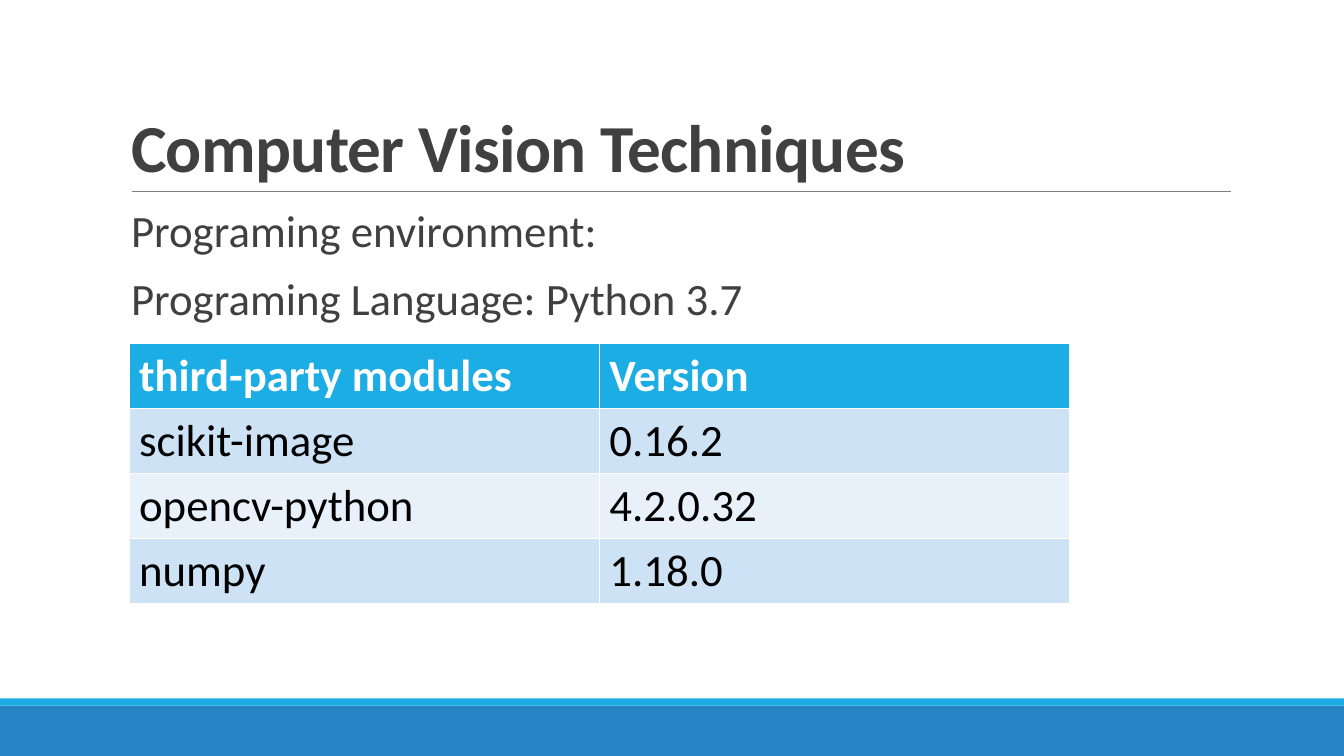
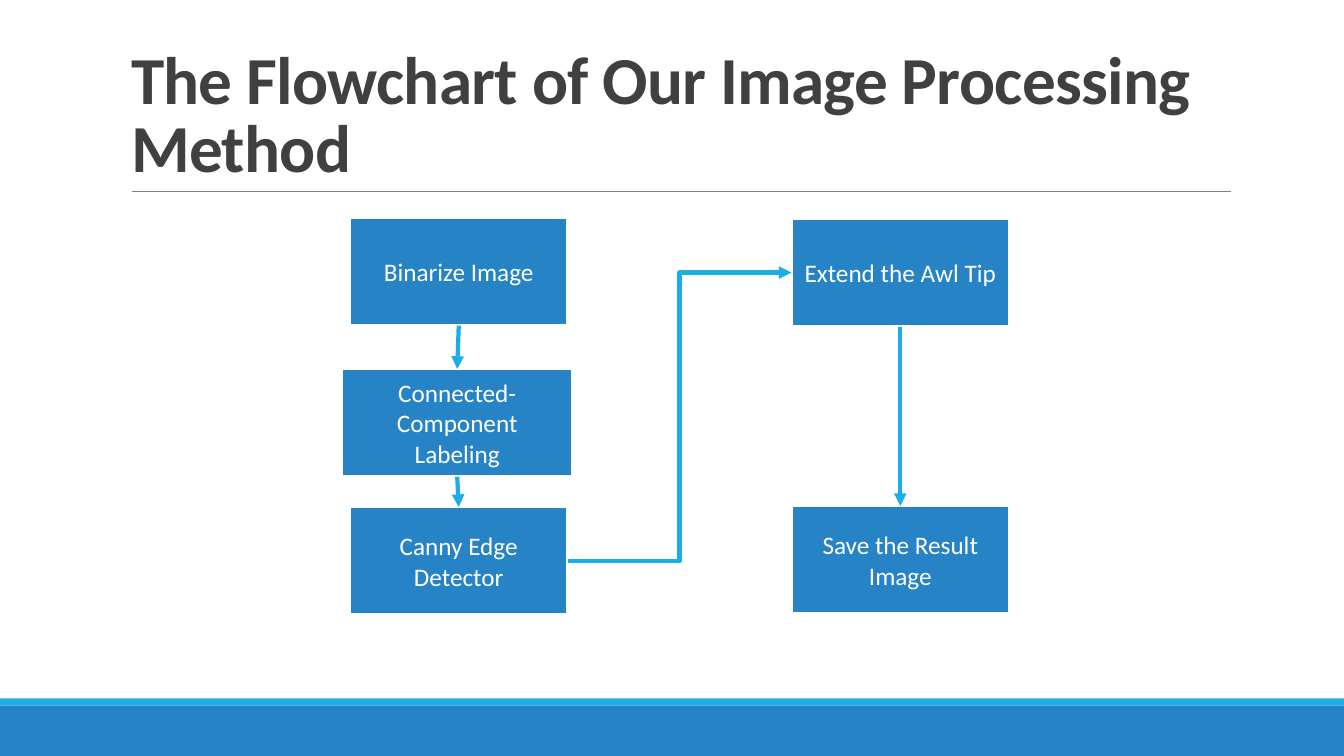
from lxml.etree import SubElement
from pptx import Presentation
from pptx.dml.color import RGBColor
from pptx.enum.shapes import MSO_CONNECTOR, MSO_SHAPE
from pptx.enum.text import MSO_ANCHOR, MSO_AUTO_SIZE, PP_ALIGN
from pptx.oxml.ns import qn
from pptx.util import Inches, Pt

BLUE = RGBColor(0x26, 0x83, 0xC6)
CYAN = RGBColor(0x1C, 0xAD, 0xE4)
GRAY = RGBColor(0x80, 0x80, 0x80)
DARK = RGBColor(0x40, 0x40, 0x40)
BLACK = RGBColor(0, 0, 0)
WHITE = RGBColor(0xFF, 0xFF, 0xFF)
BAND_FILLS = (RGBColor(0xE8, 0xF1, 0xFA), RGBColor(0xCD, 0xE3, 0xF5))

FONT = "Calibri"
TITLE_AND_BODY, TITLE_ONLY = 1, 5
TOP, LEFT, BOTTOM, RIGHT = range(4)  # connection sites of a rectangle


class Deck:
    """Holds the shared style and the current slide."""

    def __init__(self):
        self.prs = Presentation()
        self.prs.slide_width = Inches(13.33)
        self.prs.slide_height = Inches(7.5)
        self.s = None

    def new_slide(self, layout, title):
        self.s = self.prs.slides.add_slide(self.prs.slide_layouts[layout])
        # Footer bands and the rule under the title
        self.rect(0, 7, 13.33, 0.5, BLUE)
        self.rect(0, 6.93, 13.33, 0.07, CYAN)
        rule = self.s.shapes.add_connector(
            MSO_CONNECTOR.STRAIGHT, Inches(1.31), Inches(1.9), Inches(12.21), Inches(1.9))
        self.style_line(rule, GRAY, 0.5)
        # Title
        sp = self.s.shapes.title
        self.place(sp, 1.2, 0.31, 11, 1.59)
        tf = sp.text_frame
        tf.auto_size = MSO_AUTO_SIZE.NONE
        tf.vertical_anchor = MSO_ANCHOR.BOTTOM
        p = tf.paragraphs[0]
        p.alignment = PP_ALIGN.LEFT
        p.line_spacing = 0.85
        r = self.run(p, title, 48, DARK, bold=True)
        r.font._element.set("spc", "-50")

    @staticmethod
    def place(sp, x, y, w, h):
        sp.left, sp.top, sp.width, sp.height = (Inches(v) for v in (x, y, w, h))

    @staticmethod
    def run(p, text, size, color, bold=False):
        r = p.add_run()
        r.text = text
        r.font.name = FONT
        r.font.size = Pt(size)
        r.font.bold = bold
        r.font.color.rgb = color
        return r

    @staticmethod
    def style_line(line, color, width):
        line.line.color.rgb = color
        line.line.width = Pt(width)
        SubElement(line._element.spPr, qn("a:effectLst"))

    def rect(self, x, y, w, h, fill):
        sp = self.s.shapes.add_shape(
            MSO_SHAPE.RECTANGLE, Inches(x), Inches(y), Inches(w), Inches(h))
        sp.shadow.inherit = False
        sp.fill.solid()
        sp.fill.fore_color.rgb = fill
        sp.line.fill.background()
        return sp

    def body(self, lines):
        sp = self.s.placeholders[1]
        self.place(sp, 1.2, 2.02, 11, 4.4)
        tf = sp.text_frame
        tf.auto_size = MSO_AUTO_SIZE.NONE
        tf.margin_left = tf.margin_right = 0
        for i, text in enumerate(lines):
            p = tf.add_paragraph() if i else tf.paragraphs[0]
            pPr = p._p.get_or_add_pPr()
            pPr.set("marL", str(Inches(0.1)))
            pPr.set("indent", "0")
            SubElement(pPr, qn("a:buNone"))
            p.line_spacing = 0.9
            p.space_before = Pt(12 if i else 0)
            p.space_after = Pt(2)
            self.run(p, text, 32, DARK)

    def table(self, x, y, w, row_h, rows):
        table = self.s.shapes.add_table(
            len(rows), len(rows[0]), Inches(x), Inches(y),
            Inches(w), Inches(row_h * len(rows))).table
        for i, row in enumerate(rows):
            header = i == 0
            for j, text in enumerate(row):
                cell = table.cell(i, j)
                cell.fill.solid()
                cell.fill.fore_color.rgb = CYAN if header else BAND_FILLS[i % 2]
                self.run(cell.text_frame.paragraphs[0], text, 32,
                         WHITE if header else BLACK, bold=header)

    def step(self, text, x, y, w=2.16):
        sp = self.rect(x, y, w, 1.07, BLUE)
        sp.line.color.rgb = WHITE
        sp.line.width = Pt(2)
        tf = sp.text_frame
        tf.word_wrap = True
        tf.vertical_anchor = MSO_ANCHOR.MIDDLE
        p = tf.paragraphs[0]
        p.alignment = PP_ALIGN.CENTER
        self.run(p, text, 18, WHITE)
        return sp

    def arrow(self, start, end, kind=MSO_CONNECTOR.STRAIGHT, sites=(BOTTOM, TOP)):
        line = self.s.shapes.add_connector(kind, 0, 0, 0, 0)
        line.begin_connect(start, sites[0])
        line.end_connect(end, sites[1])
        self.style_line(line, CYAN, 3)
        SubElement(line.line._get_or_add_ln(), qn("a:tailEnd"), type="triangle")


def main():
    deck = Deck()

    # Programming environment
    deck.new_slide(TITLE_AND_BODY, "Computer Vision Techniques")
    deck.body(["Programing environment:", "Programing Language: Python 3.7"])
    deck.table(1.28, 3.41, 9.33, 0.64, [
        ("third-party modules", "Version"),
        ("scikit-image", "0.16.2"),
        ("opencv-python", "4.2.0.32"),
        ("numpy", "1.18.0"),
    ])

    # Flowchart
    deck.new_slide(TITLE_ONLY, "The Flowchart of Our Image Processing Method")
    binarize = deck.step("Binarize Image", 3.47, 2.16)
    label = deck.step("Connected-Component Labeling", 3.39, 3.66, 2.29)
    canny = deck.step("Canny Edge Detector", 3.47, 5.03)
    extend = deck.step("Extend the Awl Tip", 7.85, 2.17)
    save = deck.step("Save the Result Image", 7.85, 5.02)
    deck.arrow(binarize, label)
    deck.arrow(label, canny)
    deck.arrow(canny, extend, MSO_CONNECTOR.ELBOW, (RIGHT, LEFT))
    deck.arrow(extend, save)

    deck.prs.save("out.pptx")


if __name__ == "__main__":
    main()
